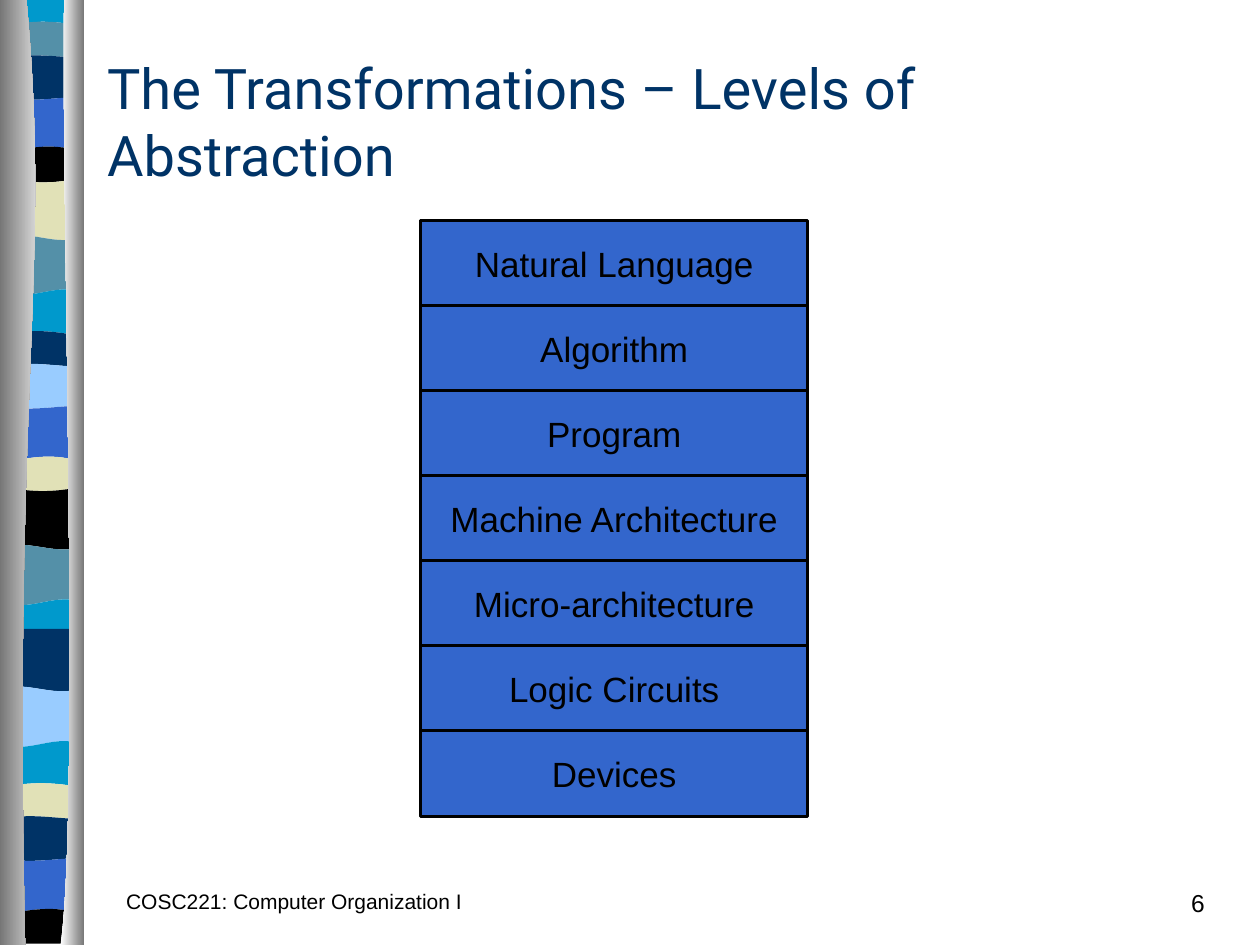
from typing import NamedTuple

from pptx import Presentation
from pptx.dml.color import RGBColor
from pptx.enum.shapes import MSO_SHAPE
from pptx.enum.text import MSO_ANCHOR, MSO_AUTO_SIZE, PP_ALIGN
from pptx.oxml.ns import qn
from pptx.util import Inches, Pt

WIDE, HIGH = 10, 7.5
NAVY, BLUE, CYAN, TEAL = "003366", "3366CC", "0099CC", "5490A8"
SAND, SKY, BLACK = "E1E1B7", "99CCFF", "000000"
LEFT, RIGHT = 0.03, 0.65

Point = tuple[float, float]


class Band(NamedTuple):
    """A stripe; its top edge is a curve with four heights, left to right."""
    fill: str
    top: tuple[float, float, float, float]


class Note(NamedTuple):
    text: str
    left: float
    width: float
    size: int
    align: PP_ALIGN


class Stack(NamedTuple):
    left: float
    top: float
    width: float
    pitch: float
    height: float


BANDS = [
    Band(CYAN, (0, 0, 0, 0)),
    Band(TEAL, (0.21, 0.16, 0.16, 0.21)),
    Band(NAVY, (0.46, 0.42, 0.45, 0.46)),
    Band(BLUE, (0.77, 0.82, 0.77, 0.77)),
    Band(BLACK, (1.21, 1.17, 1.13, 1.21)),
    Band(SAND, (1.41, 1.46, 1.46, 1.41)),
    Band(TEAL, (1.88, 1.82, 1.96, 1.88)),
    Band(CYAN, (2.32, 2.4, 2.24, 2.32)),
    Band(NAVY, (2.67, 2.6, 2.63, 2.67)),
    Band(SKY, (2.91, 2.86, 2.91, 2.91)),
    Band(BLUE, (3.22, 3.27, 3.22, 3.22)),
    Band(SAND, (3.67, 3.63, 3.59, 3.67)),
    Band(BLACK, (3.86, 3.91, 3.91, 3.86)),
    Band(TEAL, (4.34, 4.28, 4.41, 4.34)),
    Band(CYAN, (4.78, 4.86, 4.7, 4.78)),
    Band(NAVY, (4.99, 4.99, 4.99, 4.99)),
    Band(SKY, (5.46, 5.41, 5.54, 5.46)),
    Band(CYAN, (5.91, 5.98, 5.82, 5.91)),
    Band(SAND, (6.25, 6.2, 6.21, 6.25)),
    Band(NAVY, (6.5, 6.45, 6.5, 6.5)),
    Band(BLUE, (6.81, 6.86, 6.81, 6.81)),
    Band(BLACK, (7.26, 7.22, 7.18, 7.26)),
]
FLOOR = (7.49,) * 4
LEVELS = ["Natural Language", "Algorithm", "Program", "Machine Architecture",
          "Micro-architecture", "Logic Circuits", "Devices"]
STACK = Stack(3.34, 1.75, 3.07, 0.675, 0.68)
NOTES = [
    Note("COSC221: Computer Organization I", 0.75, 3.17, 12, PP_ALIGN.CENTER),
    Note("6", 7.58, 2.08, 14, PP_ALIGN.RIGHT),
]


def color(code: str) -> RGBColor:
    return RGBColor.from_string(code)


def wave(edge: tuple[float, ...]) -> list[Point]:
    third = (RIGHT - LEFT) / 3
    return [(LEFT + i * third, y) for i, y in enumerate(edge)]


def outline(slide, spots: list[Point], bends: tuple[int, ...]):
    """Draw a closed outline; three segments from each bend form one curve."""
    dots = [(Inches(x), Inches(y)) for x, y in spots]
    pen = slide.shapes.build_freeform(*dots[0])
    pen.add_line_segments(dots[1:], close=True)
    shape = pen.convert_to_shape()
    lines = list(shape._element.iter(qn("a:lnTo")))
    for bend in bends:
        first, *rest = lines[bend:bend + 3]
        first.tag = qn("a:cubicBezTo")
        for line in rest:
            first.append(line[0])
            line.getparent().remove(line)
    shape.shadow.inherit = False
    shape.line.fill.background()
    return shape


def draw_bands(slide) -> None:
    edges = [band.top for band in BANDS[1:]] + [FLOOR]
    for band, low in zip(BANDS, edges):
        shape = outline(slide, wave(band.top) + wave(low)[::-1], (0, 4))
        shape.fill.solid()
        shape.fill.fore_color.rgb = color(band.fill)


def draw_pillar(slide, inner: list[Point], side: float, tones: tuple[str, str]) -> None:
    """Shade the area between a curve and an upright side."""
    shape = outline(slide, inner + [(side, HIGH), (side, 0)], (0,))
    shape.fill.gradient()
    shape.fill.gradient_angle = 0
    for stop, tone in zip(shape.fill.gradient_stops, tones):
        stop.color.rgb = color(tone)


def put_text(frame, text: str, size: int, tone: str = BLACK,
             face: str = "Arial", align: PP_ALIGN = PP_ALIGN.CENTER) -> None:
    frame.text = text
    para = frame.paragraphs[0]
    para.alignment = align
    font = para.runs[0].font
    for name, value in {"size": Pt(size), "name": face}.items():
        setattr(font, name, value)
    font.color.rgb = color(tone)


def draw_level(slide, text: str, row: int) -> None:
    top = STACK.top + row * STACK.pitch
    box = slide.shapes.add_shape(MSO_SHAPE.RECTANGLE, Inches(STACK.left), Inches(top),
                                 Inches(STACK.width), Inches(STACK.height))
    box.shadow.inherit = False
    box.fill.solid()
    box.fill.fore_color.rgb = color(BLUE)
    box.line.color.rgb = color(BLACK)
    box.line.width = Pt(1.5)
    frame = box.text_frame
    frame.word_wrap = False
    frame.vertical_anchor = MSO_ANCHOR.MIDDLE
    put_text(frame, text, 20)


def draw_note(slide, note: Note) -> None:
    box = slide.shapes.add_textbox(Inches(note.left), Inches(7),
                                   Inches(note.width), Inches(0.33))
    box.text_frame.word_wrap = True
    put_text(box.text_frame, note.text, note.size, align=note.align)


def set_title(slide, text: str) -> None:
    title = slide.shapes.title
    area = {"left": 0.75, "top": 0.33, "width": 8.92, "height": 1.25}
    for name, value in area.items():
        setattr(title, name, Inches(value))
    frame = title.text_frame
    look = {"word_wrap": True, "auto_size": MSO_AUTO_SIZE.NONE,
            "vertical_anchor": MSO_ANCHOR.MIDDLE}
    for name, value in look.items():
        setattr(frame, name, value)
    put_text(frame, text, 32, NAVY, "Roboto", PP_ALIGN.LEFT)


def main() -> None:
    deck = Presentation()
    deck.slide_width, deck.slide_height = Inches(WIDE), Inches(HIGH)
    slide = deck.slides.add_slide(deck.slide_layouts[5])
    draw_bands(slide)
    draw_pillar(slide, [(0.21, 0), (0.41, 2.16), (0.1, 2.96), (0.2, HIGH)],
                0, ("767676", "FFFFFF"))
    draw_pillar(slide, [(0.51, 0), (0.48, 1.25), (0.64, 6.46), (0.48, HIGH)],
                0.67, ("FFFFFF", "767676"))
    for note in NOTES:
        draw_note(slide, note)
    set_title(slide, "The Transformations – Levels of Abstraction")
    for row, text in enumerate(LEVELS):
        draw_level(slide, text, row)
    deck.save("out.pptx")


if __name__ == "__main__":
    main()
